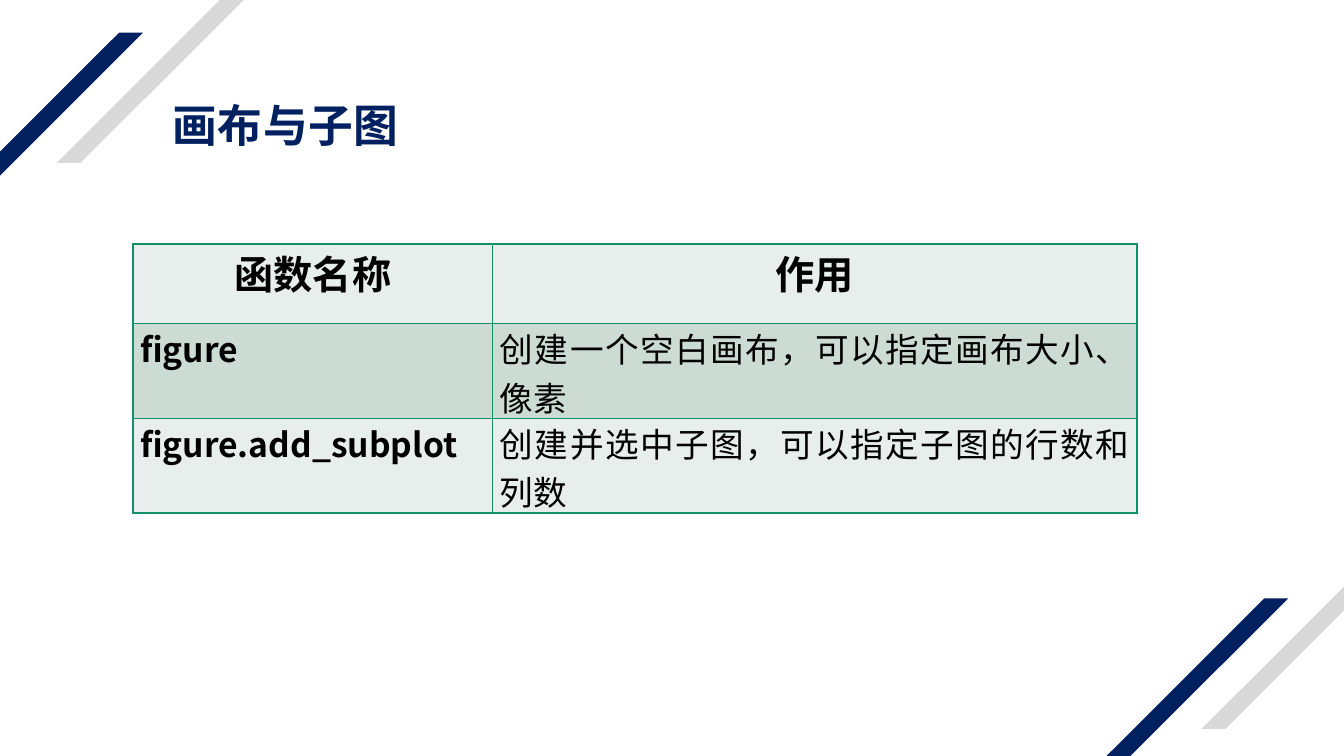
from lxml.etree import SubElement as Sub
from pptx import Presentation
from pptx.dml.color import RGBColor as Rgb
from pptx.enum.shapes import MSO_SHAPE as Preset
from pptx.enum.text import MSO_AUTO_SIZE as Fit, PP_ALIGN as Align
from pptx.oxml.ns import qn
from pptx.util import Inches, Pt

COLORS = {
    "navy": "002060", "grey": "D9D9D9", "ink": "000000",
    "pale": "E7EEEB", "sage": "CCDCD4", "border": "119169",
}
FONT = "Noto Sans CJK SC"
COLUMNS, ROWS = 80, 45

TITLE = {"size": Pt(32), "bold": True}
HEADING = {"size": Pt(28), "bold": True}
FUNCTION = {"size": Pt(24), "bold": True}
PURPOSE = {"size": Pt(24), "bold": False}

FUNCTIONS = [
    ("函数名称", "作用"),
    ("figure", "创建一个空白画布，可以指定画布大小、像素"),
    ("figure.add_subplot", "创建并选中子图，可以指定子图的行数和列数"),
]


class Deck:
    def __init__(self):
        self.show = Presentation()
        self.show.slide_width, self.show.slide_height = Inches(13.333), Inches(7.5)
        self.slide = self.show.slides.add_slide(self.show.slide_layouts[6])

    def x(self, columns):
        return round(self.show.slide_width * columns / COLUMNS)

    def y(self, rows):
        return round(self.show.slide_height * rows / ROWS)

    def box(self, left, top, width, height):
        return self.x(left), self.y(top), self.x(width), self.y(height)

    def paint(self, target, color):
        target.fill.solid()
        target.fill.fore_color.rgb = Rgb.from_string(COLORS[color])

    def put_text(self, frame, text, look, color, align, spacing=None):
        paragraph = frame.paragraphs[0]
        paragraph.alignment = align
        run = paragraph.add_run()
        run.text = text
        for name, value in {"name": FONT, **look}.items():
            setattr(run.font, name, value)
        run.font.color.rgb = Rgb.from_string(COLORS[color])
        properties = run._r.get_or_add_rPr()
        Sub(properties, qn("a:ea"), typeface=FONT)
        if spacing:
            properties.set("spc", str(spacing))

    def stripe(self, left, top, color):
        stripe = self.slide.shapes.add_shape(
            Preset.PARALLELOGRAM, *self.box(left, top, 16.98, 15.54))
        stripe.adjustments[0] = 1.001
        stripe.shadow.inherit = False
        stripe.line.fill.background()
        self.paint(stripe, color)

    def title(self, text, left, top, width, height):
        frame = self.slide.shapes.add_textbox(
            *self.box(left, top, width, height)).text_frame
        settings = {"word_wrap": True, "auto_size": Fit.SHAPE_TO_FIT_TEXT,
                    "margin_left": 0, "margin_right": 0,
                    "margin_top": 0, "margin_bottom": 0}
        for name, value in settings.items():
            setattr(frame, name, value)
        self.put_text(frame, text, TITLE, "navy", Align.LEFT, 40)

    def outline(self, cell):
        properties = cell._tc.get_or_add_tcPr()
        for side in "LRTB":
            edge = Sub(properties, qn(f"a:ln{side}"), w=str(Pt(1)))
            Sub(Sub(edge, qn("a:solidFill")), qn("a:srgbClr"), val=COLORS["border"])

    def table(self, entries, left, top, widths, heights):
        table = self.slide.shapes.add_table(
            len(heights), len(widths),
            *self.box(left, top, sum(widths), sum(heights))).table
        table.first_row = table.horz_banding = False
        for column, width in zip(table.columns, widths):
            column.width = self.x(width)
        margins = {"margin_left": Inches(0.07), "margin_right": Inches(0.07),
                   "margin_top": 0, "margin_bottom": 0}
        for index, (row, height, texts) in enumerate(zip(table.rows, heights, entries)):
            row.height = self.y(height)
            looks = (FUNCTION, PURPOSE) if index else (HEADING, HEADING)
            align = Align.JUSTIFY if index else Align.CENTER
            for cell, text, look in zip(row.cells, texts, looks):
                for name, value in margins.items():
                    setattr(cell, name, value)
                self.outline(cell)
                self.paint(cell, "sage" if index % 2 else "pale")
                self.put_text(cell.text_frame, text, look, "ink", align)


def main():
    deck = Deck()
    for left, top in ((-8.46, 1.94), (59.7, 35.62)):
        deck.stripe(left, top, "navy")
        deck.stripe(left + 11.82, top - 7.77, "grey")
    deck.title("画布与子图", 10.26, 5.82, 20.82, 3.24)
    deck.table(FUNCTIONS, 7.92, 14.52, (21.42, 38.34), (4.74, 5.64, 5.64))
    deck.show.save("out.pptx")


if __name__ == "__main__":
    main()
